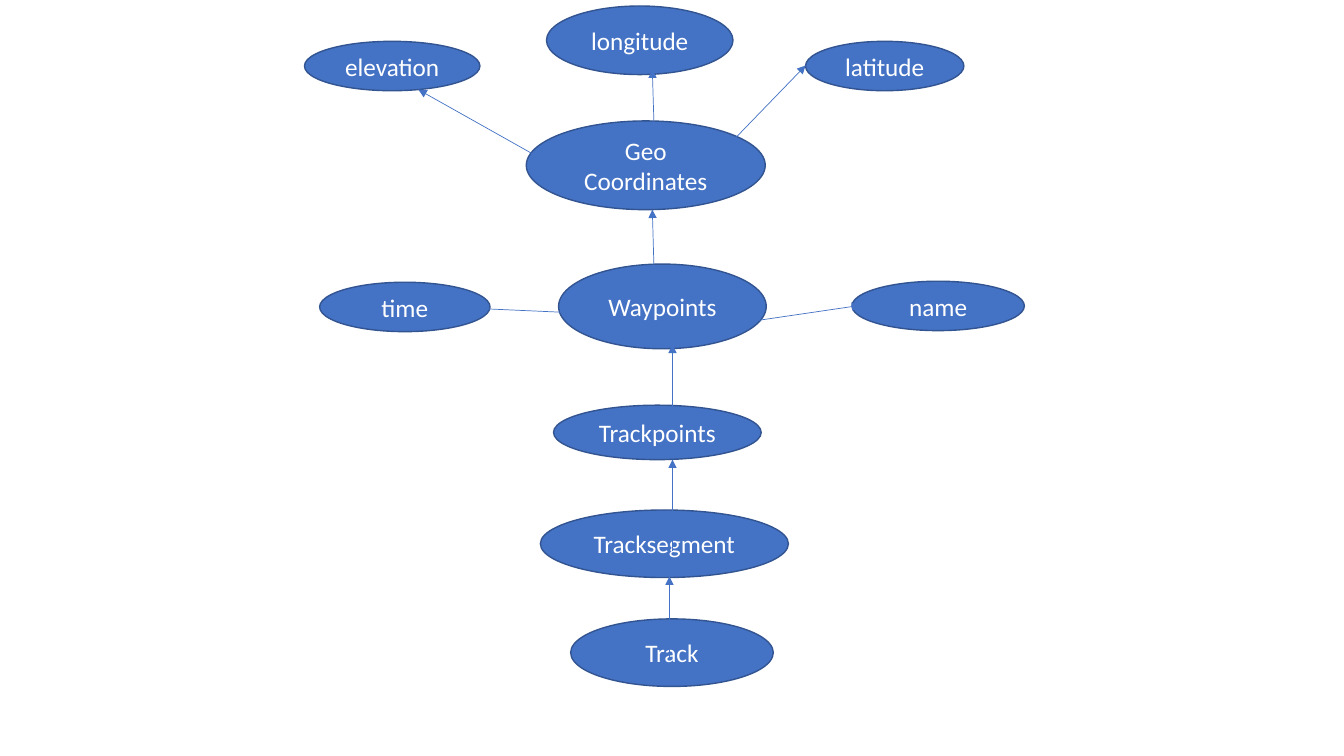
from dataclasses import dataclass

from lxml.etree import SubElement
from pptx import Presentation
from pptx.dml.color import RGBColor
from pptx.enum.shapes import MSO_CONNECTOR, MSO_SHAPE
from pptx.enum.text import MSO_ANCHOR, PP_ALIGN
from pptx.oxml.ns import qn
from pptx.slide import Slide
from pptx.util import Inches, Pt

BLUE = RGBColor(0x44, 0x72, 0xC4)
DARK_BLUE = RGBColor(0x32, 0x54, 0x91)
WHITE = RGBColor(0xFF, 0xFF, 0xFF)


@dataclass
class Concept:
    label: str
    left: float
    top: float
    width: float
    height: float


@dataclass
class Arrow:
    start_x: float
    start_y: float
    end_x: float
    end_y: float


CONCEPTS = [
    Concept("Geo Coordinates", 5.22, 1.2, 2.37, 0.88),
    Concept("latitude", 7.99, 0.41, 1.57, 0.49),
    Concept("longitude", 5.42, 0.06, 1.85, 0.68),
    Concept("elevation", 3.02, 0.41, 1.74, 0.49),
    Concept("Waypoints", 5.54, 2.62, 2.06, 0.84),
    Concept("Trackpoints", 5.49, 4.02, 2.06, 0.54),
    Concept("Tracksegment", 5.36, 5.06, 2.46, 0.67),
    Concept("name", 8.45, 2.79, 1.71, 0.49),
    Concept("time", 3.17, 2.8, 1.69, 0.49),
    Concept("Track", 5.66, 6.14, 2.01, 0.67),
]

ARROWS = [
    Arrow(7.1, 1.57, 7.99, 0.65),  # Geo Coordinates to latitude
    Arrow(5.36, 1.57, 4.15, 0.89),  # Geo Coordinates to elevation
    Arrow(7.1, 3.24, 8.53, 3.03),  # Waypoints to name
    Arrow(5.85, 3.11, 4.73, 3.06),  # Waypoints to time
    Arrow(6.49, 1.35, 6.47, 0.69),  # Geo Coordinates to longitude
    Arrow(6.49, 2.79, 6.47, 2.08),  # Waypoints to Geo Coordinates
    Arrow(6.67, 4.21, 6.67, 3.42),  # Trackpoints to Waypoints
    Arrow(6.67, 5.47, 6.67, 4.56),  # Tracksegment to Trackpoints
    Arrow(6.64, 6.52, 6.64, 5.72),  # Track to Tracksegment
]


def draw_concept(page: Slide, concept: Concept) -> None:
    ellipse = page.shapes.add_shape(
        MSO_SHAPE.OVAL,
        Inches(concept.left),
        Inches(concept.top),
        Inches(concept.width),
        Inches(concept.height),
    )
    ellipse.shadow.inherit = False
    ellipse.fill.solid()
    ellipse.fill.fore_color.rgb = BLUE
    ellipse.line.color.rgb = DARK_BLUE
    ellipse.line.width = Pt(1)

    frame = ellipse.text_frame
    frame.word_wrap = True
    frame.vertical_anchor = MSO_ANCHOR.MIDDLE
    frame.text = concept.label
    para = frame.paragraphs[0]
    para.alignment = PP_ALIGN.CENTER
    span = para.runs[0]
    span.font.name = "Calibri"
    span.font.size = Pt(18)
    span.font.color.rgb = WHITE


def draw_arrow(page: Slide, arrow: Arrow) -> None:
    connector = page.shapes.add_connector(
        MSO_CONNECTOR.STRAIGHT,
        Inches(arrow.start_x),
        Inches(arrow.start_y),
        Inches(arrow.end_x),
        Inches(arrow.end_y),
    )
    connector.line.color.rgb = BLUE
    connector.line.width = Pt(0.5)
    # Arrowhead at the end, and no shadow
    SubElement(connector.line._get_or_add_ln(), qn("a:tailEnd"), type="triangle")
    SubElement(connector._element.spPr, qn("a:effectLst"))


def main() -> None:
    deck = Presentation()
    deck.slide_width = Inches(13.33)
    deck.slide_height = Inches(7.5)
    page = deck.slides.add_slide(deck.slide_layouts[6])

    # Ellipses first, so the arrows lie over them
    for concept in CONCEPTS:
        draw_concept(page, concept)
    for arrow in ARROWS:
        draw_arrow(page, arrow)

    deck.save("out.pptx")


if __name__ == "__main__":
    main()
